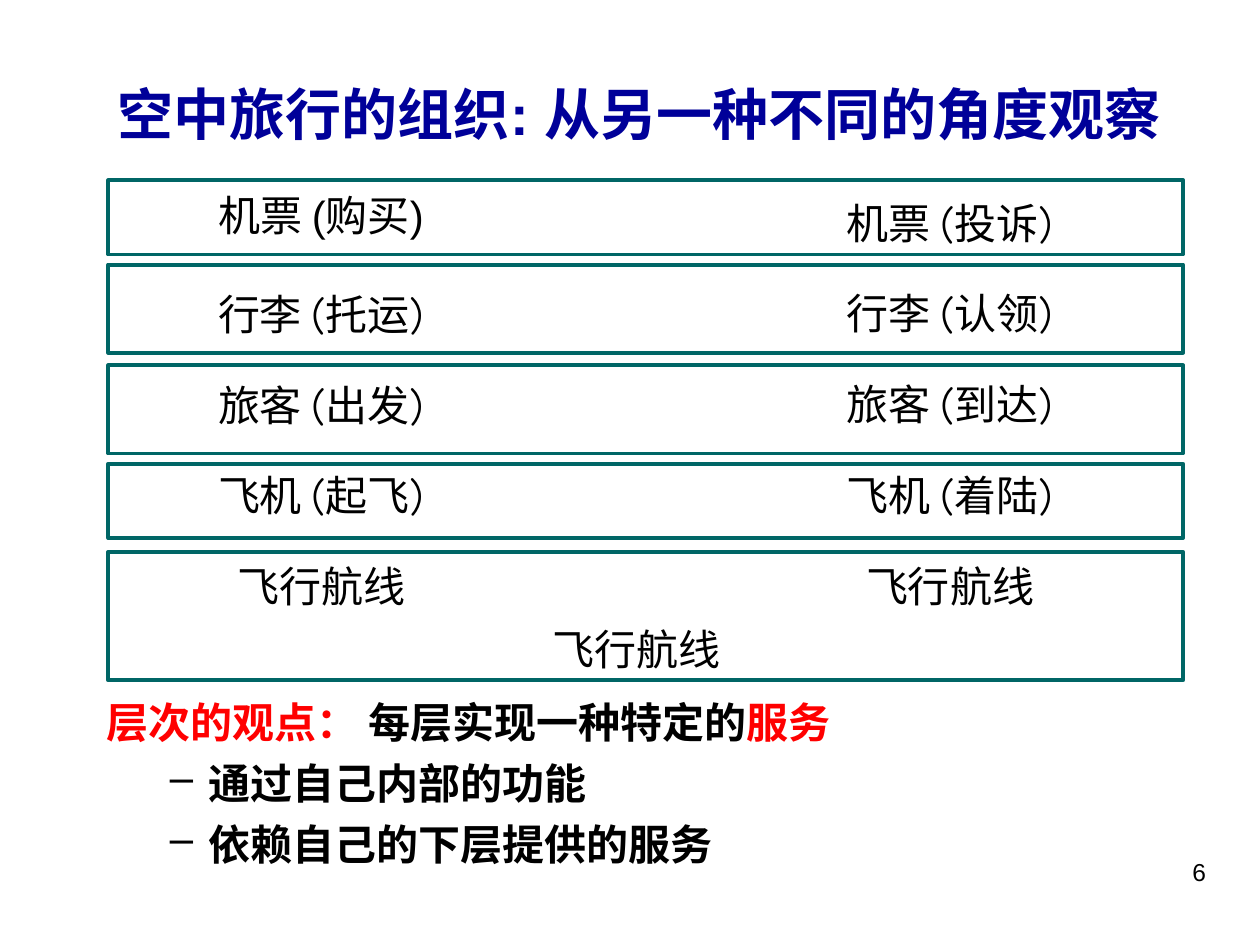
import pptx
import pptx.util
import pptx.dml.color
import pptx.enum.shapes
import pptx.enum.text
from lxml import etree

ALIGN = pptx.enum.text.PP_ALIGN
SIZE = pptx.enum.text.MSO_AUTO_SIZE
ANCHOR = pptx.enum.text.MSO_ANCHOR
RECT = pptx.enum.shapes.MSO_SHAPE.RECTANGLE
NAVY, RED, BLACK, TEAL = "000099", "FF0000", "000000", "006666"


def color(code):
    return pptx.dml.color.RGBColor.from_string(code)


def assign(item, values):
    for key, val in values.items():
        setattr(item, key, val)


class Page:
    """Slide on a grid of 100 columns by 75 rows."""
    cols, rows = 100, 75

    def __init__(self, deck):
        self.wide = deck.slide_width / self.cols
        self.high = deck.slide_height / self.rows
        self.slide = deck.slides.add_slide(deck.slide_layouts[6])

    def place(self, left, top, width, height):
        return (round(left * self.wide), round(top * self.high),
                round(width * self.wide), round(height * self.high))

    def frame(self, area):
        shape = self.slide.shapes.add_shape(RECT, *self.place(*area))
        shape.shadow.inherit = False
        shape.fill.background()
        shape.line.color.rgb = color(TEAL)
        shape.line.width = pptx.util.Pt(2.25)

    def text(self, area, paras, para=None, bullets=False, font="Arial",
             size=24, bold=False, **box):
        """Each paragraph is a list of (text, colour[, font]) runs."""
        frame = self.slide.shapes.add_textbox(*self.place(*area)).text_frame
        assign(frame, {"word_wrap": True, "auto_size": SIZE.NONE} | box)
        for num, runs in enumerate(paras):
            line = frame.paragraphs[0] if num == 0 else frame.add_paragraph()
            if bullets and num:
                self.dash(line)
            assign(line, para or {})
            if num == 0:
                line.space_before = pptx.util.Pt(0)
            for words, tint, *other in runs:
                run = line.add_run()
                run.text = words
                assign(run.font, {"name": other[0] if other else font,
                                  "size": pptx.util.Pt(size), "bold": bold})
                run.font.color.rgb = color(tint)
        return frame

    def dash(self, line):
        props = line._p.get_or_add_pPr()
        props.set("lvl", "1")
        props.set("marL", str(pptx.util.Inches(0.81)))
        props.set("indent", str(pptx.util.Inches(-0.31)))
        space = "{http://schemas.openxmlformats.org/drawingml/2006/main}"
        tint = etree.SubElement(props, space + "buClr")
        etree.SubElement(tint, space + "srgbClr", val=BLACK)
        etree.SubElement(props, space + "buChar", char="–")


def main():
    deck = pptx.Presentation()
    deck.slide_width = pptx.util.Inches(10)
    deck.slide_height = pptx.util.Inches(7.5)
    page = Page(deck)
    mid = {"alignment": ALIGN.CENTER}

    # Title and page number
    page.text((5.8, 5.7, 89.9, 6.6),
              [[("空中旅行的组织: 从另一种不同的角度观察", NAVY)]],
              mid, size=32, bold=True, vertical_anchor=ANCHOR.MIDDLE)
    page.text((71.7, 67.5, 25, 5.2), [[("6", BLACK)]],
              {"alignment": ALIGN.RIGHT}, size=14)

    # The view by layers
    page.text((7.5, 54.8, 85, 15),
              [[("层次的观点： ", RED), ("每层实现一种特定的", BLACK), ("服务", RED)],
               [("通过自己内部的功能", BLACK)],
               [("依赖自己的下层提供的服务", BLACK)]],
              {"space_before": pptx.util.Pt(6)}, bullets=True, bold=True)

    # Steps of departure and arrival
    steps = mid | {"line_spacing": 0.9, "space_before": pptx.util.Pt(26)}
    fit = {"font": "Comic Neue", "auto_size": SIZE.SHAPE_TO_FIT_TEXT}
    leave = ["行李 (托运)", "旅客 (出发)", "飞机 (起飞)", "飞行航线"]
    arrive = ["机票 (投诉)", "行李 (认领)", "旅客 (到达)", "飞机 (着陆)", "飞行航线"]
    left = page.text((9.8, 15, 31.4, 34),
                     [[("机票 (购买)", BLACK, "Arial")]]
                     + [[(step, BLACK)] for step in leave], steps, **fit)
    left.paragraphs[1].space_before = pptx.util.Pt(30.5)
    page.text((65, 15.6, 20.8, 33.4), [[(step, BLACK)] for step in arrive],
              steps, word_wrap=False, **fit)
    page.text((42.9, 49, 15.3, 5), [[("飞行航线", BLACK)]],
              mid, word_wrap=False, **fit)

    # Layer frames
    for top, height in ((14.3, 5.9), (21, 7), (29, 7), (36.8, 5.9), (43.8, 10.2)):
        page.frame((8.6, top, 85.3, height))

    deck.save("out.pptx")


if __name__ == "__main__":
    main()
